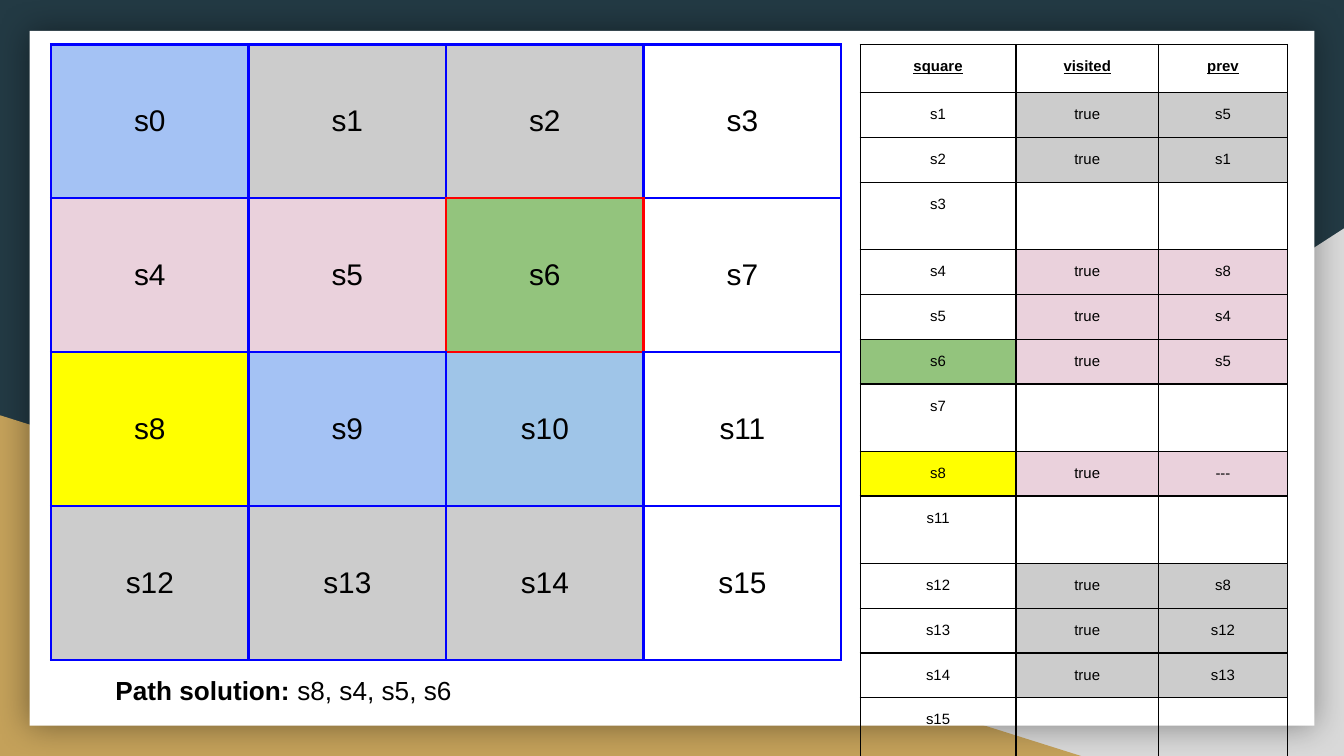
from lxml import etree
from pptx import Presentation
from pptx.dml.color import RGBColor
from pptx.enum.shapes import MSO_SHAPE as Preset
from pptx.enum.text import MSO_ANCHOR as Anchor, PP_ALIGN as Align
from pptx.oxml import parse_xml
from pptx.oxml.ns import nsdecls, qn
from pptx.util import Inches, Pt

BLUE, RED, BLACK = "0000FF", "FF0000", "000000"
GRAY, PINK, GREEN, YELLOW = "CCCCCC", "EAD1DC", "93C47D", "FFFF00"
PERIWINKLE, SKY = "A4C2F4", "9FC5E8"


def color(value):
    return RGBColor.from_string(value)


def format_cell(cell, text, size, fill, borders, width, bold=False):
    cell.margin_left = cell.margin_right = Inches(0.1)
    cell.margin_top = cell.margin_bottom = Inches(0.1)
    paragraph = cell.text_frame.paragraphs[0]
    if text:
        paragraph.text = text
        paragraph.alignment = Align.CENTER
        font = paragraph.runs[0].font
        font.name, font.size, font.bold, font.underline = "Arial", Pt(size), bold, bold
        font.color.rgb = color(BLACK)
    else:
        end_format = etree.SubElement(paragraph._p, qn("a:endParaRPr"), sz="1800")
        etree.SubElement(end_format, qn("a:latin"), typeface="Arial")
    if fill:
        cell.fill.solid()
        cell.fill.fore_color.rgb = color(fill)
    else:
        cell.fill.background()
    properties = cell._tc.get_or_add_tcPr()
    for index, side in enumerate("LRTB"):
        properties.insert(index, parse_xml(
            f'<a:ln{side} {nsdecls("a")} w="{Pt(width)}"><a:solidFill>'
            f'<a:srgbClr val="{borders[side]}"/></a:solidFill></a:ln{side}>'))


presentation = Presentation()
presentation.slide_width, presentation.slide_height = Inches(10), Inches(10 * 9 / 16)
slide = presentation.slides.add_slide(presentation.slide_layouts[6])
slide.background.fill.solid()
slide.background.fill.fore_color.rgb = color("233A44")

backdrop = [
    (Preset.RIGHT_TRIANGLE, (3.92, 1.7, 6.08, 3.93), "D9D9D9"),
    (Preset.RIGHT_TRIANGLE, (0, 3.09, 8.06, 2.54), "C4A15A"),
    (Preset.RECTANGLE, (0.22, 0.23, 9.56, 5.17), "FFFFFF"),
]
backdrop_shapes = []
for preset, box, fill in backdrop:
    shape = slide.shapes.add_shape(preset, *map(Inches, box))
    shape.shadow.inherit = False
    shape.fill.solid()
    shape.fill.fore_color.rgb = color(fill)
    shape.line.fill.background()
    backdrop_shapes.append(shape)
right_triangle, left_triangle, card = backdrop_shapes
right_triangle._element.spPr.xfrm.set("flipH", "1")
effects = card._element.spPr.find(qn("a:effectLst"))
shadow = etree.SubElement(effects, qn("a:outerShdw"), blurRad=str(Pt(18)), dist="0", dir="0")
shadow_color = etree.SubElement(shadow, qn("a:srgbClr"), val=BLACK)
etree.SubElement(shadow_color, qn("a:alpha"), val="40000")

solution = slide.shapes.add_textbox(Inches(0.38), Inches(4.92), Inches(3.46), Inches(0.46))
text_frame = solution.text_frame
text_frame.word_wrap = True
text_frame.margin_left = text_frame.margin_right = Inches(0.1)
text_frame.margin_top = text_frame.margin_bottom = Inches(0.1)
paragraph = text_frame.paragraphs[0]
paragraph.alignment = Align.CENTER
for text, bold in [("Path solution: ", True), ("s8, s4, s5, s6", False)]:
    run = paragraph.add_run()
    run.text = text
    run.font.name, run.font.size, run.font.bold = "Arial", Pt(14), bold
    run.font.color.rgb = color(BLACK)

grid_fills = [
    [PERIWINKLE, GRAY, GRAY, None],
    [PINK, PINK, GREEN, None],
    [YELLOW, PERIWINKLE, SKY, None],
    [GRAY, GRAY, GRAY, None],
]
goal = (1, 2)
neighbors = {"L": (0, -1), "R": (0, 1), "T": (-1, 0), "B": (1, 0)}
grid_width, grid_height = Inches(5.88), Inches(4.58)
grid = slide.shapes.add_table(4, 4, Inches(0.38), Inches(0.33), grid_width, grid_height).table
grid.first_row = grid.horz_banding = False
for row, fills in enumerate(grid_fills):
    grid.rows[row].height = grid_height // 4
    grid.columns[row].width = grid_width // 4
    for column, fill in enumerate(fills):
        borders = {
            side: RED if goal in ((row, column), (row + down, column + across)) else BLUE
            for side, (down, across) in neighbors.items()
        }
        cell = grid.cell(row, column)
        cell.vertical_anchor = Anchor.MIDDLE
        format_cell(cell, f"s{row * 4 + column}", 16, fill, borders, 1.5)

visits = [
    ("s1", "s5", GRAY), ("s2", "s1", GRAY), ("s3", "", None),
    ("s4", "s8", PINK), ("s5", "s4", PINK), ("s6", "s5", PINK), ("s7", "", None),
    ("s8", "---", PINK), ("s11", "", None),
    ("s12", "s8", GRAY), ("s13", "s12", GRAY), ("s14", "s13", GRAY), ("s15", "", None),
]
square_fills = {"s6": GREEN, "s8": YELLOW}
visit_rows = [(("square", "visited", "prev"), (None, None, None))]
for square, previous, fill in visits:
    visited = "true" if previous else ""
    visit_rows.append(((square, visited, previous), (square_fills.get(square), fill, fill)))

visit_table = slide.shapes.add_table(
    len(visit_rows), 3, Inches(6.4), Inches(0.33), Inches(3.18), Inches(4.65)).table
visit_table.first_row = visit_table.horz_banding = False
for column, width in enumerate((1.16, 1.06, 0.96)):
    visit_table.columns[column].width = Inches(width)
black_borders = dict.fromkeys("LRTB", BLACK)
for row, (texts, fills) in enumerate(visit_rows):
    visit_table.rows[row].height = Inches(0.33 if row else 0.36)
    for column, (text, fill) in enumerate(zip(texts, fills)):
        format_cell(visit_table.cell(row, column), text, 8, fill, black_borders, 0.75, row == 0)

presentation.save("out.pptx")
